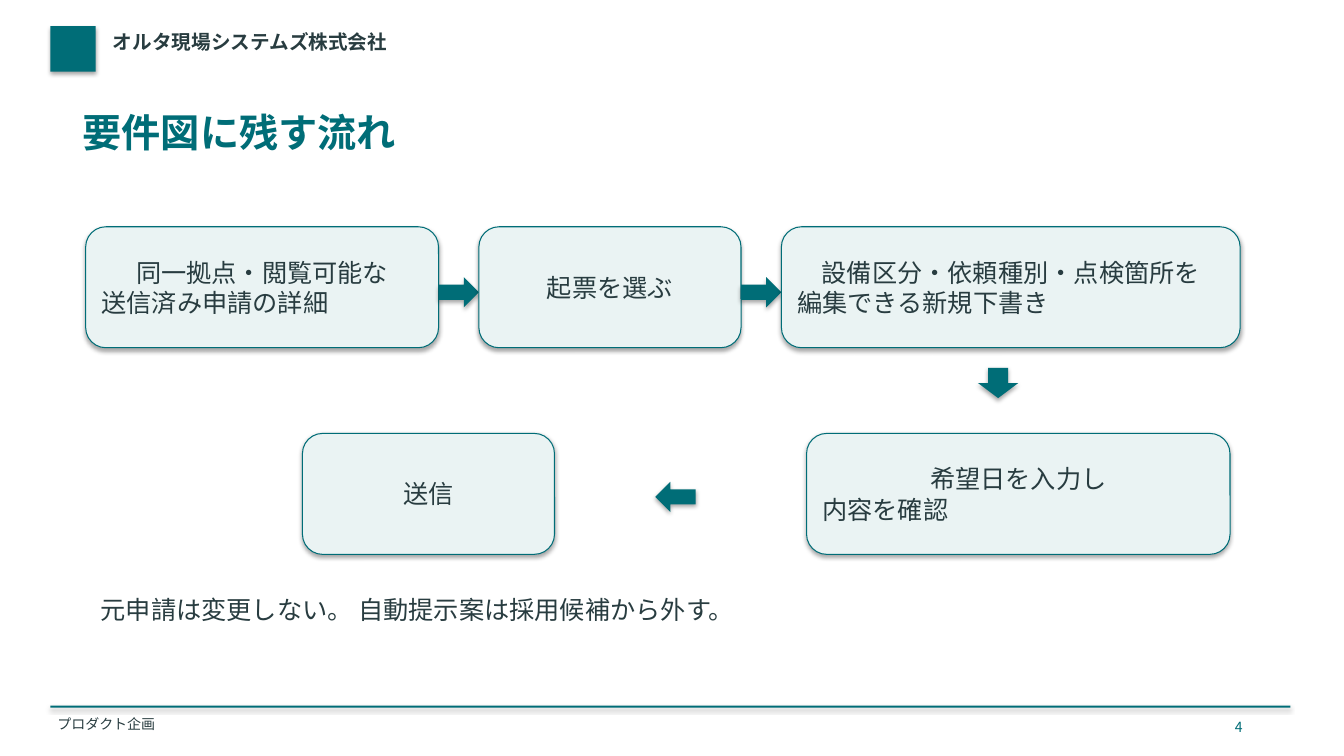
from dataclasses import dataclass

from pptx import Presentation
from pptx.dml.color import RGBColor
from pptx.enum.shapes import MSO_SHAPE
from pptx.enum.text import MSO_ANCHOR, MSO_AUTO_SIZE, PP_ALIGN
from pptx.util import Inches, Pt

RECT = MSO_SHAPE.RECTANGLE
ROUNDED = MSO_SHAPE.ROUNDED_RECTANGLE
RIGHT, DOWN, LEFT = MSO_SHAPE.RIGHT_ARROW, MSO_SHAPE.DOWN_ARROW, MSO_SHAPE.LEFT_ARROW
TOP, MIDDLE = MSO_ANCHOR.TOP, MSO_ANCHOR.MIDDLE
GROW = MSO_AUTO_SIZE.SHAPE_TO_FIT_TEXT
ALIGN_LEFT, ALIGN_CENTER = PP_ALIGN.LEFT, PP_ALIGN.CENTER


@dataclass(frozen=True)
class Theme:
    font: str = "Noto Sans CJK JP"
    teal: RGBColor = RGBColor(0x00, 0x6D, 0x77)
    ink: RGBColor = RGBColor(0x28, 0x3C, 0x40)
    pale: RGBColor = RGBColor(0xEA, 0xF3, 0xF3)
    title: int = 28
    body: int = 18
    company: int = 14
    footer: int = 10


THEME = Theme()
TIGHT = 0.02
BOX_H = 1.2
ARROW_W, ARROW_H = 0.4, 0.3
TOP_ROW, BOTTOM_ROW = 2.25, 4.3


def add_run(p, text, size, color, bold=False):
    r = p.add_run()
    r.text = text
    r.font.name = THEME.font
    r.font.size = Pt(size)
    r.font.bold = bold
    r.font.color.rgb = color


def set_margins(tf, inset):
    tf.margin_left = tf.margin_right = Inches(inset)
    tf.margin_top = tf.margin_bottom = Inches(inset)


def add_title(s, text):
    title = s.shapes.title
    title.left, title.top = Inches(0.8), Inches(1.05)
    title.width, title.height = Inches(11.7), Inches(0.75)
    tf = title.text_frame
    set_margins(tf, TIGHT)
    tf.vertical_anchor = TOP
    tf.auto_size = GROW
    p = tf.paragraphs[0]
    p.alignment = ALIGN_LEFT
    add_run(p, text, THEME.title, THEME.teal, bold=True)


def add_text(s, text, x, y, w, h, size, color=THEME.ink, bold=False, inset=None, wrap=True):
    tf = s.shapes.add_textbox(Inches(x), Inches(y), Inches(w), Inches(h)).text_frame
    tf.word_wrap = wrap
    tf.auto_size = GROW
    if inset is not None:
        set_margins(tf, inset)
    add_run(tf.paragraphs[0], text, size, color, bold)


def add_solid(s, kind, x, y, w, h):
    """Add a borderless teal shape that keeps the theme's soft shadow."""
    sp = s.shapes.add_shape(kind, Inches(x), Inches(y), Inches(w), Inches(h))
    sp.fill.solid()
    sp.fill.fore_color.rgb = THEME.teal
    sp.line.fill.background()


def add_step(s, lines, x, y, w):
    """Add a flow box; its first line is centred and the rest start at the left."""
    sp = s.shapes.add_shape(ROUNDED, Inches(x), Inches(y), Inches(w), Inches(BOX_H))
    sp.fill.solid()
    sp.fill.fore_color.rgb = THEME.pale
    sp.line.color.rgb = THEME.teal
    sp.line.width = Pt(0.75)
    tf = sp.text_frame
    tf.word_wrap = True
    tf.vertical_anchor = MIDDLE
    for i, line in enumerate(lines):
        p = tf.add_paragraph() if i else tf.paragraphs[0]
        p.alignment = ALIGN_LEFT if i else ALIGN_CENTER
        add_run(p, line, THEME.body, THEME.ink)


def add_arrow(s, kind, x, y):
    add_solid(s, kind, x, y, ARROW_W, ARROW_H)


def add_frame(s):
    """Add the company header and the footer."""
    add_solid(s, RECT, 0.5, 0.26, 0.45, 0.45)
    add_text(s, "オルタ現場システムズ株式会社", 1.1, 0.28, 10, 0.4,
             THEME.company, bold=True, inset=TIGHT)
    add_solid(s, RECT, 0.5, 7, 12.3, 0.02)
    add_text(s, "プロダクト企画", 0.55, 7.08, 9, 0.22, THEME.footer, inset=TIGHT)
    add_text(s, "4", 12.15, 7.08, 0.5, 0.22, THEME.footer, THEME.teal, wrap=False)


def add_flow(s):
    top_steps = [
        (["同一拠点・閲覧可能な", "送信済み申請の詳細"], 3.5),
        (["起票を選ぶ"], 2.6),
        (["設備区分・依頼種別・点検箇所を", "編集できる新規下書き"], 4.55),
    ]
    x = 0.85
    for i, (lines, w) in enumerate(top_steps):
        if i:
            add_arrow(s, RIGHT, x, TOP_ROW + 0.5)
            x += ARROW_W
        add_step(s, lines, x, TOP_ROW, w)
        x += w
    add_arrow(s, DOWN, 9.7, TOP_ROW + BOX_H + 0.2)
    add_step(s, ["希望日を入力し", "内容を確認"], 8, BOTTOM_ROW, 4.2)
    add_arrow(s, LEFT, 6.5, BOTTOM_ROW + 0.48)
    add_step(s, ["送信"], 3, BOTTOM_ROW, 2.5)


def main():
    prs = Presentation()
    prs.slide_width, prs.slide_height = Inches(13.33), Inches(7.5)
    s = prs.slides.add_slide(prs.slide_layouts.get_by_name("Title Only"))
    add_frame(s)
    add_title(s, "要件図に残す流れ")
    add_flow(s)
    add_text(s, "元申請は変更しない。 自動提示案は採用候補から外す。",
             0.9, 5.85, 11.5, 0.7, THEME.body)
    prs.save("out.pptx")


if __name__ == "__main__":
    main()
